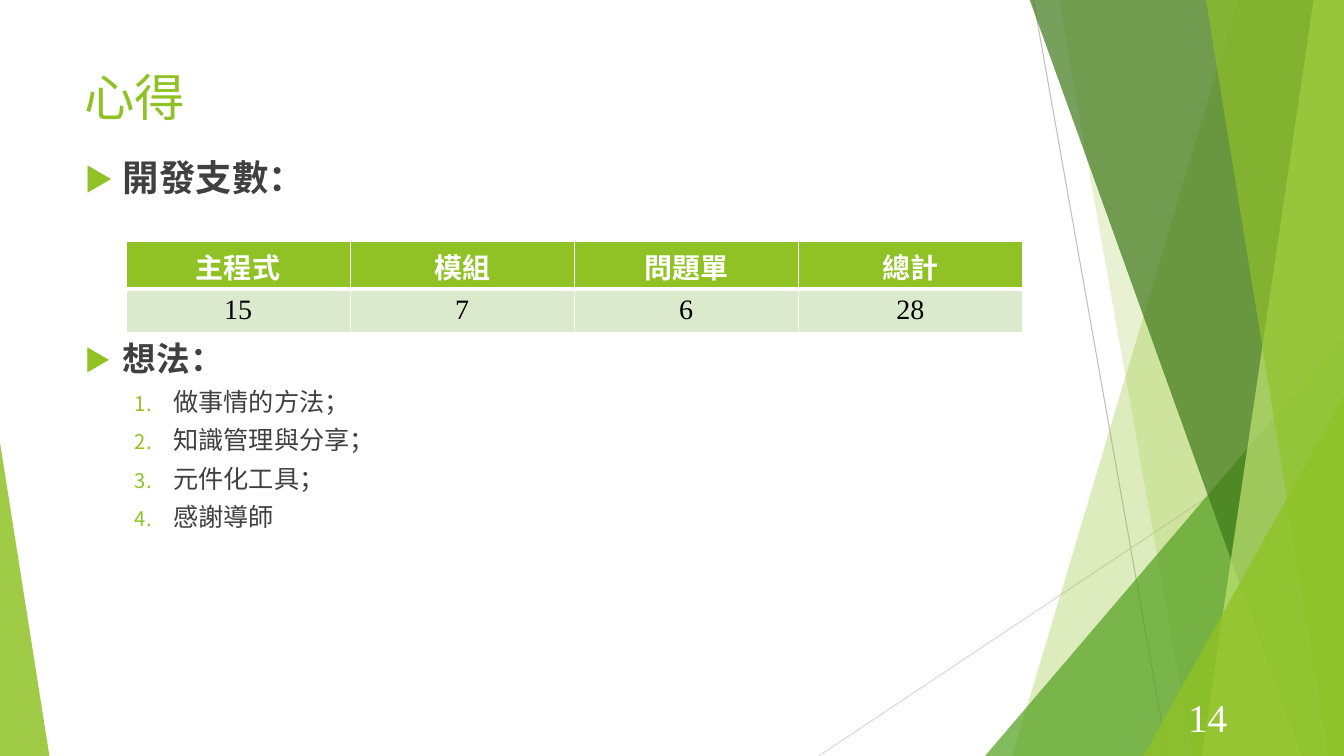
from lxml.etree import SubElement
from pptx import Presentation
from pptx.dml.color import RGBColor
from pptx.enum.shapes import MSO_CONNECTOR as Connector, MSO_SHAPE as Shape
from pptx.enum.text import MSO_ANCHOR as Anchor, PP_ALIGN as Align
from pptx.oxml import parse_xml
from pptx.oxml.ns import nsdecls, qn
from pptx.util import Inches, Pt

GREEN, WHITE, GREY = "90C226", "FFFFFF", "404040"
SERIF, SANS = "Times New Roman", "Noto Sans CJK SC"
WIDTH, HEIGHT = 13.33, 7.5


def color(value):
    return RGBColor.from_string(value)


def set_font(paragraph, name, size, value, bold=False):
    font = paragraph.font
    font.name, font.size, font.bold = name, Pt(size), bold
    font.color.rgb = color(value)


presentation = Presentation()
presentation.slide_width, presentation.slide_height = Inches(WIDTH), Inches(HEIGHT)
slide = presentation.slides.add_slide(presentation.slide_layouts[6])
shapes = slide.shapes

# Thin lines behind the ribbons
for x1, y1, x2, y2, value in [
    (10.25, 0, 11.58, HEIGHT, "BFBFBF"),
    (WIDTH, 4.03, 8.12, HEIGHT, "D9D9D9"),
]:
    line = shapes.add_connector(
        Connector.STRAIGHT, Inches(x1), Inches(y1), Inches(x2), Inches(y2))
    line.line.color.rgb = color(value)
    line.line.width = Pt(0.75)
    SubElement(line._element.spPr, qn("a:effectLst"))

# Ribbons: (top left x, bottom left x); triangles: (left, top, width, apex)
ribbons = [
    ((12.28, 10.04), GREEN, 30),
    ((10.5, 11.83), GREEN, 20),
    ((9.77, 3.33, 3.56, 1), "54A021", 72),
    ((10.21, 12.91), "3F7819", 70),
    ((13.03, 11.92), "C0E474", 70),
    ((11.96, 13.18), GREEN, 65),
    ((11.34, 3.93, 1.99, 1), GREEN, 80),
    ((0, 4.39, 0.49, 0), GREEN, 85),
]
for geometry, value, opacity in ribbons:
    if len(geometry) == 2:
        top_x, bottom_x = geometry
        builder = shapes.build_freeform(Inches(top_x), Inches(-0.01))
        builder.add_line_segments(
            [(Inches(x), Inches(y)) for x, y in
             [(WIDTH, -0.01), (WIDTH, HEIGHT), (bottom_x, HEIGHT)]])
        ribbon = builder.convert_to_shape()
    else:
        left, top, width, apex = geometry
        ribbon = shapes.add_shape(
            Shape.ISOSCELES_TRIANGLE, Inches(left), Inches(top),
            Inches(width), Inches(HEIGHT - top))
        ribbon.adjustments[0] = apex
    ribbon.shadow.inherit = False
    ribbon.line.fill.background()
    ribbon.fill.solid()
    ribbon.fill.fore_color.rgb = color(value)
    fill_color = ribbon._element.spPr.find(".//" + qn("a:srgbClr"))
    SubElement(fill_color, qn("a:alpha"), val=str(opacity * 1000))

# Title
title = shapes.add_textbox(Inches(0.74), Inches(0.67), Inches(9.4), Inches(0.88))
title.text_frame.word_wrap = True
paragraph = title.text_frame.paragraphs[0]
paragraph.text = "心得"
paragraph.line_spacing = 0.9
set_font(paragraph, SERIF, 36, GREEN)

# Body: the large space before the second heading leaves room for the table
body = shapes.add_textbox(Inches(0.74), Inches(1.54), Inches(9.4), Inches(5.68))
body.text_frame.word_wrap = True
body_lines = [
    ("開發支數：", 26, 0),
    ("想法：", 24, 102),
    ("做事情的方法；", 18, 8),
    ("知識管理與分享；", 18, 8),
    ("元件化工具；", 18, 8),
    ("感謝導師", 18, 8),
]
for index, (text, size, space) in enumerate(body_lines):
    heading = size > 18
    frame = body.text_frame
    paragraph = frame.add_paragraph() if index else frame.paragraphs[0]
    paragraph.text = text
    paragraph.level = 0 if heading else 1
    paragraph.line_spacing = 0.9
    paragraph.space_before = Pt(space)
    properties = paragraph._p.get_or_add_pPr()
    properties.set("marL", str(Inches(0.38 if heading else 0.88)))
    properties.set("indent", str(Inches(-0.38)))
    SubElement(SubElement(properties, qn("a:buClr")), qn("a:srgbClr"), val=GREEN)
    SubElement(properties, qn("a:buSzPct"), val="80000")
    SubElement(properties, qn("a:buFont"), typeface=SANS)
    if heading:
        SubElement(properties, qn("a:buChar"), char="▶")
    else:
        SubElement(properties, qn("a:buAutoNum"), type="arabicPeriod")
    set_font(paragraph, SANS, size, GREY, bold=heading)

# Table of developed programs
rows = [["主程式", "模組", "問題單", "總計"], ["15", "7", "6", "28"]]
table_frame = shapes.add_table(
    2, 4, Inches(1.25), Inches(2.39), Inches(8.89), Inches(0.87))
table = table_frame.table
for row_index, row in enumerate(rows):
    header = row_index == 0
    table.rows[row_index].height = Inches(0.48 if header else 0.41)
    for column_index, text in enumerate(row):
        cell = table.cell(row_index, column_index)
        cell.fill.solid()
        cell.fill.fore_color.rgb = color(GREEN if header else "DBE9CD")
        widths = {"L": 1, "R": 1, "T": 1 if header else 3, "B": 3 if header else 1}
        for position, (side, points) in enumerate(widths.items()):
            border = parse_xml(
                f'<a:ln{side} {nsdecls("a")} w="{Pt(points)}"><a:solidFill>'
                f'<a:srgbClr val="{WHITE}"/></a:solidFill></a:ln{side}>')
            cell._tc.get_or_add_tcPr().insert(position, border)
        paragraph = cell.text_frame.paragraphs[0]
        paragraph.text = text
        paragraph.alignment = Align.CENTER
        set_font(paragraph, SERIF, 20, WHITE if header else "000000", bold=header)

# Slide number
number = shapes.add_textbox(Inches(11.52), Inches(6.91), Inches(0.75), Inches(0.4))
number.text_frame.word_wrap = True
number.text_frame.vertical_anchor = Anchor.MIDDLE
paragraph = number.text_frame.paragraphs[0]
paragraph.text = "14"
paragraph.alignment = Align.RIGHT
set_font(paragraph, SERIF, 28, WHITE)

presentation.save("out.pptx")
